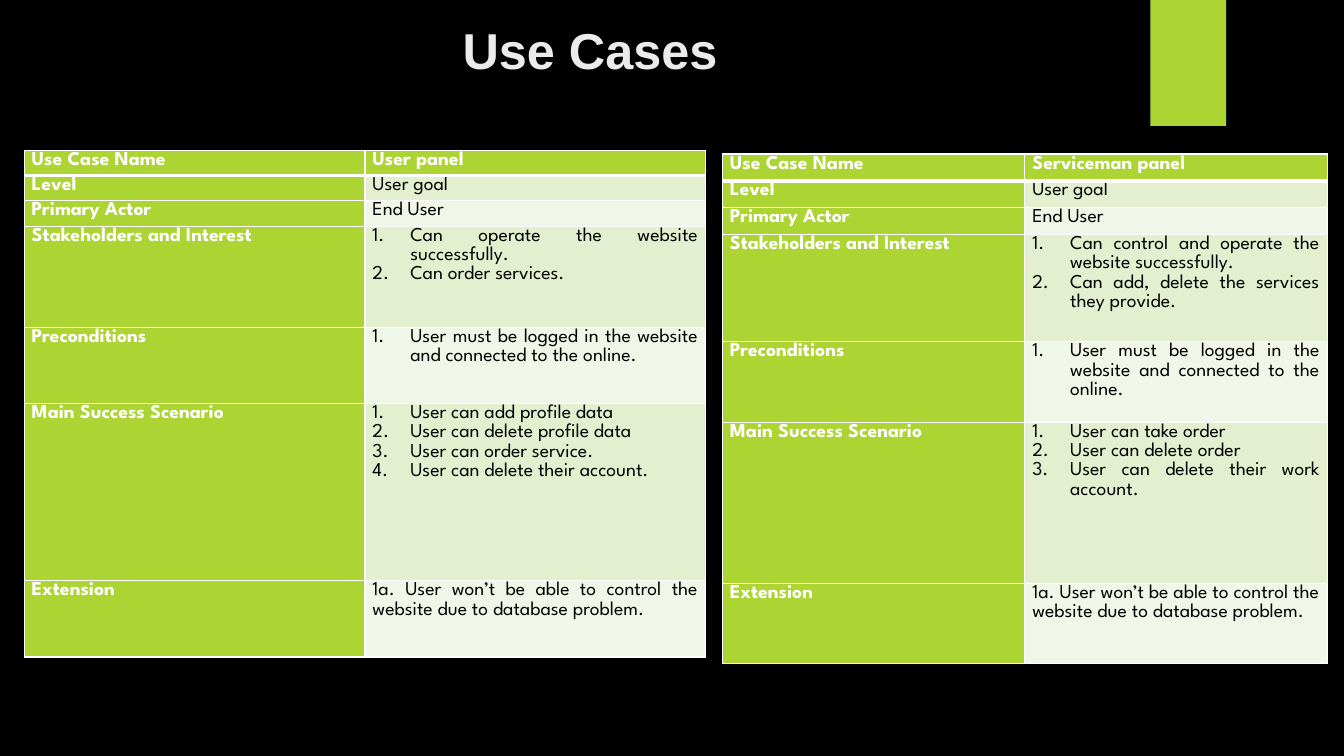
import pptx
import pptx.util
import pptx.dml.color
import pptx.enum.shapes
import pptx.enum.text
import pptx.oxml
import pptx.oxml.ns

Pt = pptx.util.Pt
JUST = pptx.enum.text.PP_ALIGN.JUSTIFY
INDENT = 27
COLORS = {
    "back": "000000", "lime": "ACD433", "dark": "E3EFCE", "pale": "F1F7E8",
    "white": "FFFFFF", "text": "000000", "title": "EBEBEB",
}
LABELS = ["Use Case Name", "Level", "Primary Actor", "Stakeholders and Interest",
          "Preconditions", "Main Success Scenario", "Extension"]
LOGIN = ["User must be logged in the website and connected to the online."]
FAULT = "1a. User won’t be able to control the website due to database problem."

# A list is numbered; a string is a plain paragraph.
USER = [
    "User panel", "User goal", "End User",
    ["Can operate the website successfully.", "Can order services."],
    LOGIN,
    ["User can add profile data", "User can delete profile data",
     "User can order service.", "User can delete their account."],
    FAULT,
]
SERVICE = [
    "Serviceman panel", "User goal", "End User",
    ["Can control and operate the website successfully.",
     "Can add, delete the services they provide."],
    LOGIN,
    ["User can take order", "User can delete order",
     "User can delete their work account."],
    FAULT,
]


def color(name):
    return pptx.dml.color.RGBColor.from_string(COLORS[name])


def paint(item, name):
    item.fill.solid()
    item.fill.fore_color.rgb = color(name)


def border(cell, row):
    """Rule all four sides, with a thick line under the header row."""
    props = cell._tc.get_or_add_tcPr()
    widths = {"L": 1, "R": 1, "T": 3 if row == 1 else 1, "B": 3 if row == 0 else 1}
    for place, (side, width) in enumerate(widths.items()):
        props.insert(place, pptx.oxml.parse_xml(
            f'<a:ln{side} {pptx.oxml.ns.nsdecls("a")} w="{Pt(width)}">'
            f'<a:solidFill><a:srgbClr val="{COLORS["white"]}"/></a:solidFill>'
            f'</a:ln{side}>'))


def number(para):
    """Give the paragraph a hanging 1. 2. 3. number."""
    props = para._p.get_or_add_pPr()
    props.set("marL", str(Pt(INDENT)))
    props.set("indent", str(-Pt(INDENT)))
    mark = pptx.oxml.parse_xml(
        f'<a:buAutoNum {pptx.oxml.ns.nsdecls("a")} type="arabicPeriod"/>')
    props.find(pptx.oxml.ns.qn("a:lnSpc")).addnext(mark)


def write(cell, text, label):
    lines = [text] if isinstance(text, str) else text
    frame = cell.text_frame
    frame.text = "\n".join(lines)
    cell.margin_left = cell.margin_right = Pt(5.4)
    cell.margin_top = cell.margin_bottom = 0
    for para in frame.paragraphs:
        para.alignment = JUST
        para.line_spacing = 1.07
        para.font.name = "League Spartan"
        para.font.size = Pt(14)
        para.font.bold = label
        para.font.color.rgb = color("white" if label else "text")
        if lines is text:
            number(para)


def panel(slide, left, top, width, heights, values):
    """Draw one use case table."""
    frame = slide.shapes.add_table(len(LABELS), 2, Pt(left), Pt(top),
                                   Pt(width), Pt(sum(heights)))
    table = frame.table
    for column in table.columns:
        column.width = Pt(width / 2)
    for row, pair in enumerate(zip(LABELS, values)):
        table.rows[row].height = Pt(heights[row])
        for col, text in enumerate(pair):
            cell = table.cell(row, col)
            label = row == 0 or col == 0
            paint(cell, "lime" if label else "dark" if row % 2 else "pale")
            border(cell, row)
            write(cell, text, label)


def ribbon(slide, left, top, width, height):
    shape = slide.shapes.add_shape(pptx.enum.shapes.MSO_SHAPE.RECTANGLE,
                                   Pt(left), Pt(top), Pt(width), Pt(height))
    shape.shadow.inherit = False
    paint(shape, "lime")
    shape.line.fill.background()


def title(slide, left, top, width, height):
    box = slide.shapes.add_textbox(Pt(left), Pt(top), Pt(width), Pt(height))
    box.text_frame.word_wrap = True
    para = box.text_frame.paragraphs[0]
    para.text = "Use Cases"
    para.font.name = "Arial"
    para.font.size = Pt(36)
    para.font.bold = True
    para.font.color.rgb = color("title")


def main():
    deck = pptx.Presentation()
    deck.slide_width, deck.slide_height = Pt(960), Pt(540)
    slide = deck.slides.add_slide(deck.slide_layouts[6])
    paint(slide.background, "back")
    ribbon(slide, 821.8, 0, 54, 90)
    panel(slide, 516, 110, 432, [19.2] * 3 + [76.6, 57.4, 115, 57.4], SERVICE)
    panel(slide, 17.3, 107.3, 486.8, [18.1] * 3 + [72.3, 54.4, 126.6, 54.4], USER)
    title(slide, 323.3, 10, 229.7, 60.5)
    deck.save("out.pptx")


if __name__ == "__main__":
    main()
